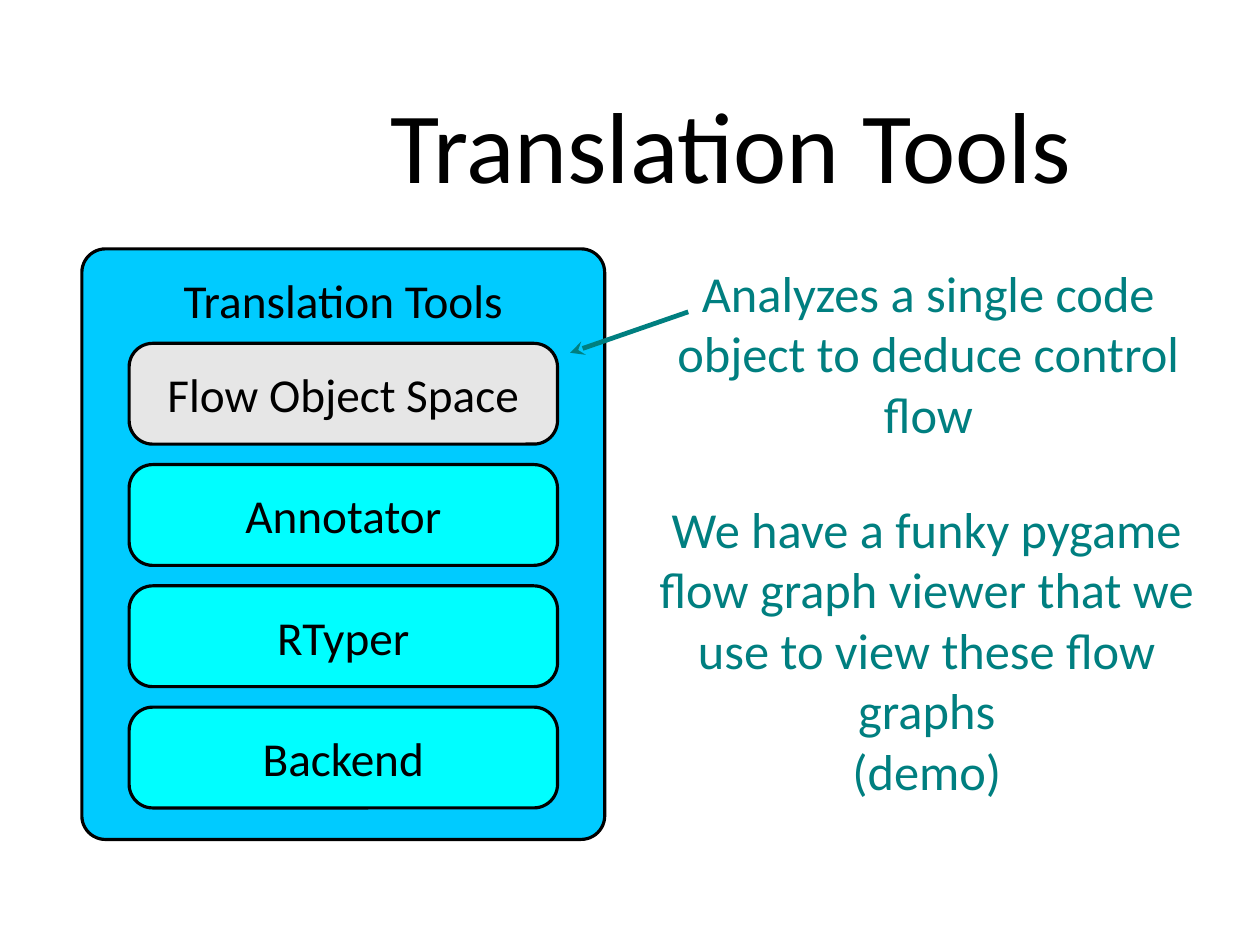
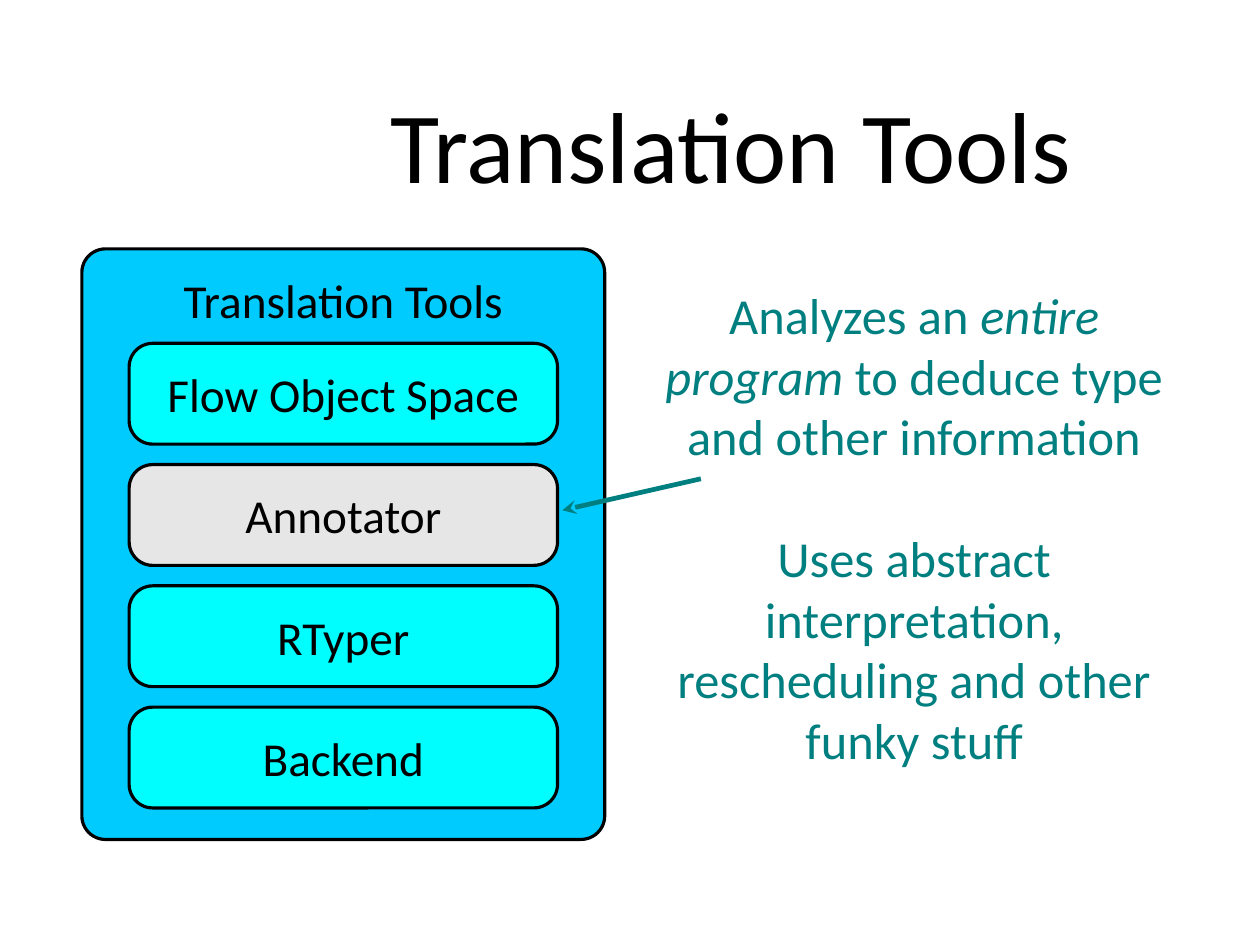
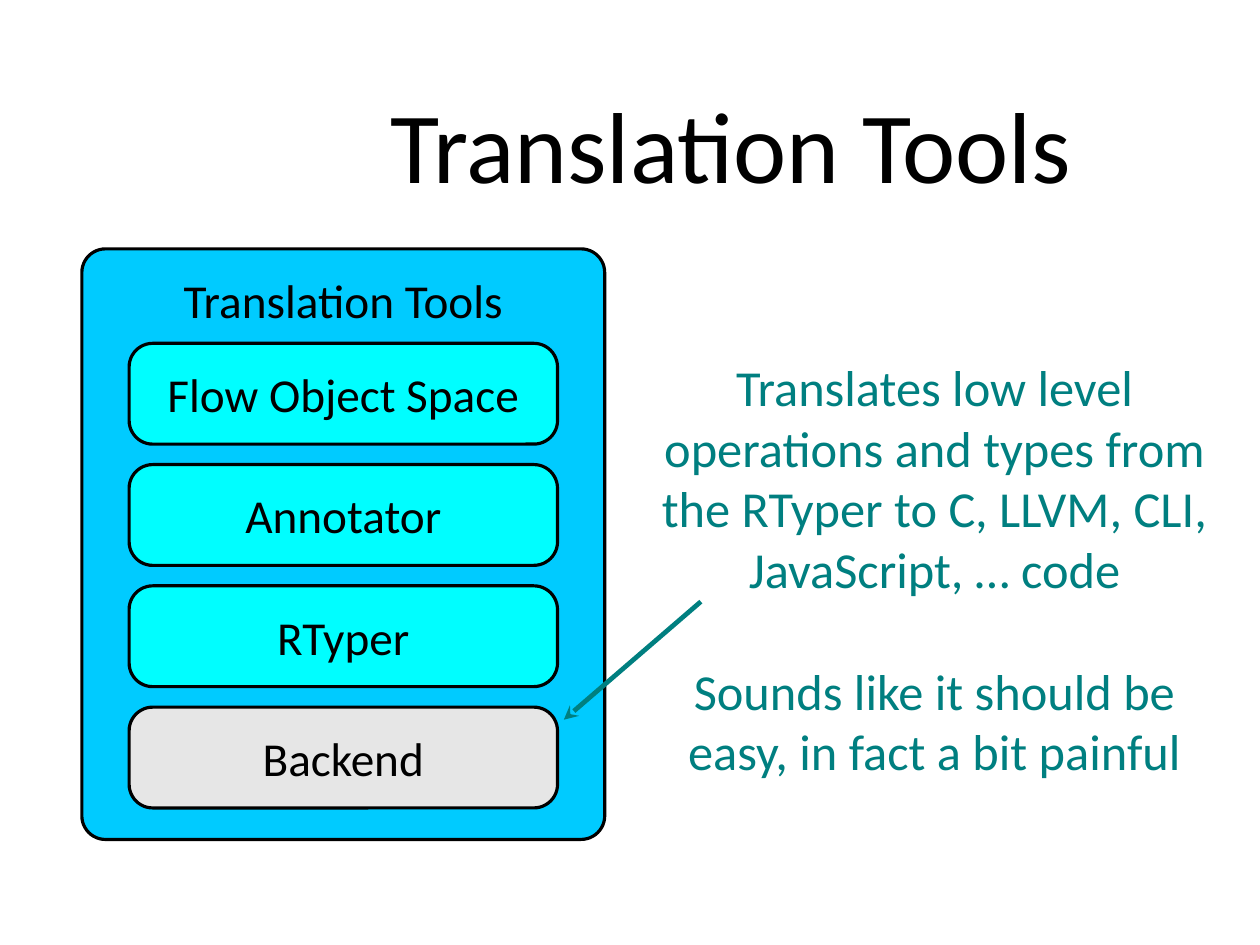
from lxml import etree
from pptx import Presentation
from pptx.dml.color import RGBColor
from pptx.enum import shapes, text
from pptx.oxml import ns
from pptx.util import Pt

# Content
TITLE = "Translation Tools"
STAGES = ["Flow Object Space", "Annotator", "RTyper", "Backend"]
GAP = 39  # one text line between two paragraphs

# Each paragraph is (space before, [(words, italic), ...])
SLIDES = [
    {"active": "Flow Object Space",
     "arrow": (437, 198, 362, 224),
     "notes": [
         ((406, 167, 367, 114), [
             (0, [("Analyzes a single code object to deduce control flow", False)])]),
         ((410, 319, 357, 186), [
             (0, [("We have a funky pygame flow graph viewer that we use "
                   "to view these flow graphs", False)]),
             (0, [("(demo)", False)])])]},
    {"active": "Annotator",
     "arrow": (445, 304, 357, 324),
     "notes": [
         ((422, 187, 317, 295), [
             (0, [("Analyzes an ", False), ("entire program", True),
                  (" to deduce type and other information", False)]),
             (GAP, [("Uses abstract interpretation, rescheduling and other "
                     "funky stuff", False)])])]},
    {"active": "Backend",
     "arrow": (445, 382, 358, 457),
     "notes": [
         ((419, 232, 349, 258), [
             (0, [("Translates low level operations and types from the RTyper "
                   "to C, LLVM, CLI, JavaScript, … code", False)]),
             (GAP, [("Sounds like it should be easy, in fact a bit painful", False)])])]},
]

# Shared look
FONT = "Calibri"
COLORS = {"ink": "000000", "panel": "00CBFF", "stage": "00FEFF",
          "active": "E6E6E6", "note": "007F80"}
TITLE_BOX = (154, 16, 622, 150)
PANEL_BOX = (52, 158, 332, 375)
STAGE_LEFT, STAGE_TOP, STAGE_WIDTH, STAGE_HEIGHT, STAGE_STEP = 82, 218, 272, 64, 77
CORNER = 15


def color(name):
    return RGBColor.from_string(COLORS[name])


def write(shape, paragraphs, size, ink, insets=(0, 0, 0, 0), anchor=text.MSO_ANCHOR.MIDDLE):
    frame = shape.text_frame
    frame.word_wrap = True
    frame.auto_size = text.MSO_AUTO_SIZE.NONE
    frame.vertical_anchor = anchor
    (frame.margin_left, frame.margin_top,
     frame.margin_right, frame.margin_bottom) = map(Pt, insets)
    for index, (space, runs) in enumerate(paragraphs):
        paragraph = frame.add_paragraph() if index else frame.paragraphs[0]
        paragraph.alignment = text.PP_ALIGN.CENTER
        if space:
            paragraph.space_before = Pt(space)
        for words, italic in runs:
            run = paragraph.add_run()
            run.text = words
            run.font.name = FONT
            run.font.size = Pt(size)
            run.font.color.rgb = color(ink)
            if italic:
                run.font.italic = True


def add_box(slide, box, fill, label, **layout):
    shape = slide.shapes.add_shape(shapes.MSO_SHAPE.ROUNDED_RECTANGLE, *map(Pt, box))
    shape.adjustments[0] = CORNER / min(box[2:])
    shape.shadow.inherit = False
    shape.fill.solid()
    shape.fill.fore_color.rgb = color(fill)
    shape.line.color.rgb = color("ink")
    shape.line.width = Pt(2)
    write(shape, [(0, [(label, False)])], 30, "ink", **layout)


def add_arrow(slide, points):
    arrow = slide.shapes.add_connector(shapes.MSO_CONNECTOR.STRAIGHT, *map(Pt, points))
    arrow.line.color.rgb = color("note")
    arrow.line.width = Pt(3)
    etree.SubElement(arrow.line._get_or_add_ln(), ns.qn("a:tailEnd"), type="stealth")
    etree.SubElement(arrow._element.spPr, ns.qn("a:effectLst"))


def add_slide(presentation, content):
    slide = presentation.slides.add_slide(presentation.slide_layouts[5])

    # Title
    title = slide.shapes.title
    title.left, title.top, title.width, title.height = map(Pt, TITLE_BOX)
    write(title, [(0, [(TITLE, False)])], 64, "ink", insets=(11, 0, 13, 0))

    # Panel with its stack of stages
    add_box(slide, PANEL_BOX, "panel", TITLE,
            insets=(10, 10, 10, 10), anchor=text.MSO_ANCHOR.TOP)
    for row, stage in enumerate(STAGES):
        box = (STAGE_LEFT, STAGE_TOP + row * STAGE_STEP, STAGE_WIDTH, STAGE_HEIGHT)
        add_box(slide, box, "active" if stage == content["active"] else "stage", stage)

    # Notes and the arrow to the active stage
    for box, paragraphs in content["notes"]:
        write(slide.shapes.add_textbox(*map(Pt, box)), paragraphs, 32, "note")
    add_arrow(slide, content["arrow"])


def main():
    presentation = Presentation()
    presentation.slide_width, presentation.slide_height = Pt(800), Pt(600)
    for content in SLIDES:
        add_slide(presentation, content)
    presentation.save("out.pptx")


if __name__ == "__main__":
    main()
